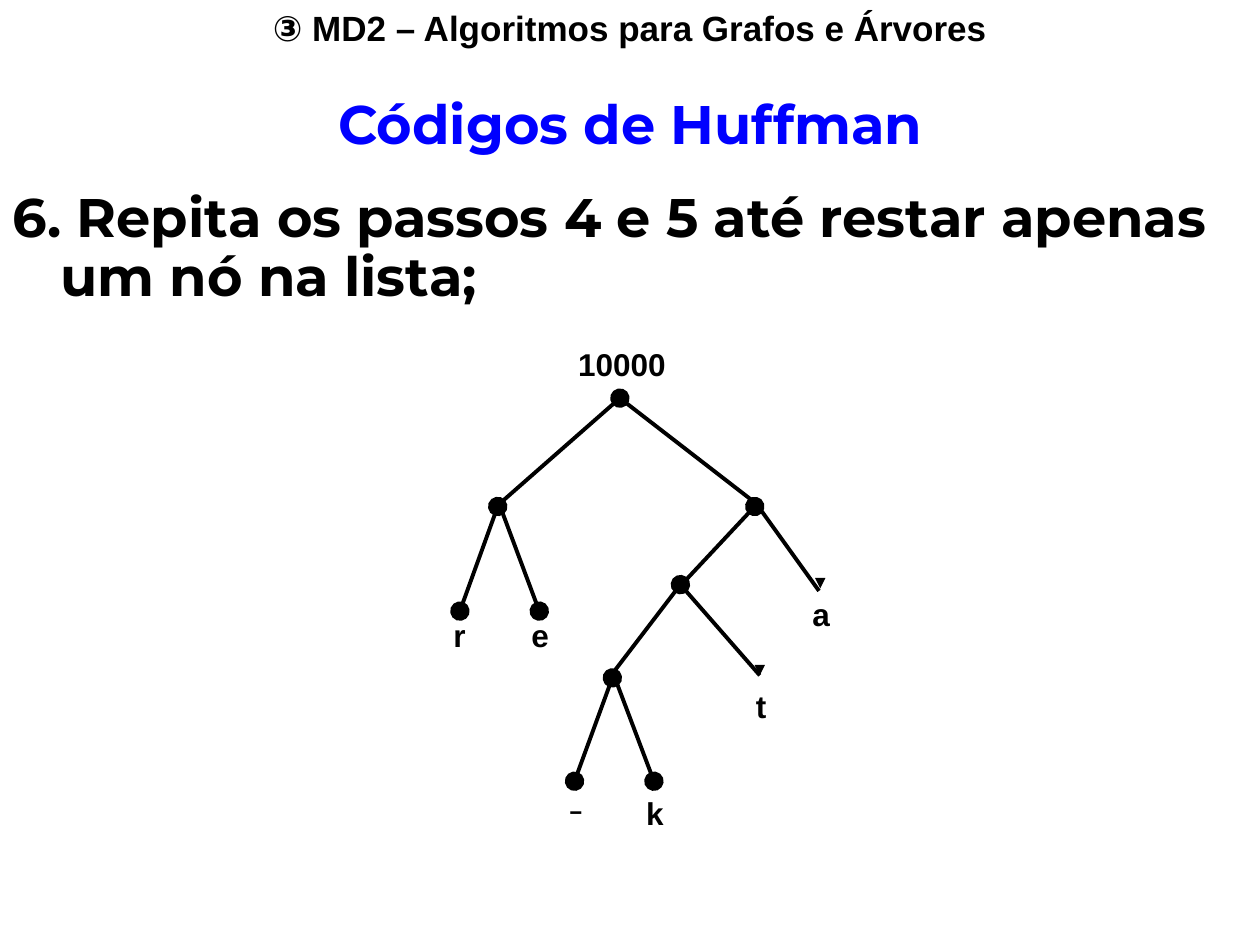
from lxml.etree import SubElement
from pptx import Presentation
from pptx.dml.color import RGBColor
from pptx.enum.shapes import MSO_CONNECTOR
from pptx.enum.text import MSO_AUTO_SIZE, PP_ALIGN
from pptx.oxml.ns import qn
from pptx.util import Inches, Pt

BLACK = RGBColor(0x00, 0x00, 0x00)
BLUE = RGBColor(0x00, 0x00, 0xFF)
END_SIZES = {"oval": "lg", "triangle": "med"}

EDGES = [
    ((3.95, 4.02), (3.65, 4.85), "oval", "oval"),
    ((3.97, 4.02), (4.28, 4.85), None, "oval"),
    ((4.86, 5.38), (4.56, 6.2), "oval", "oval"),
    ((4.88, 5.38), (5.19, 6.2), None, "oval"),
    ((4.85, 5.36), (5.4, 4.64), None, "oval"),
    ((5.4, 4.64), (6.03, 5.36), None, None),
    ((5.4, 4.65), (5.99, 4.02), None, "oval"),
    ((5.99, 3.98), (6.5, 4.69), None, None),
    ((3.94, 4.02), (4.92, 3.16), None, "oval"),
    ((4.92, 3.16), (5.98, 3.98), None, None),
]
LEAF_ARROWS = [((6.51, 4.63), (6.51, 4.67)), ((6.03, 5.33), (6.03, 5.36))]
NODE_LABELS = [
    ("10000", 4.49, 2.69, 0.95),
    ("r", 3.5, 4.84, 0.37),
    ("e", 4.12, 4.84, 0.37),
    ("a", 6.35, 4.67, 0.37),
    ("t", 5.9, 5.4, 0.37),
    ("k", 5.03, 6.25, 0.37),
]


def style(p, text, size, font="Arial", color=BLACK, bold=True):
    p.text = text
    p.font.size = Pt(size)
    p.font.name = font
    p.font.bold = bold
    p.font.color.rgb = color


def add_text_frame(s, left, top, width, height):
    box = s.shapes.add_textbox(Inches(left), Inches(top), Inches(width), Inches(height))
    tf = box.text_frame
    tf.word_wrap = True
    tf.auto_size = MSO_AUTO_SIZE.SHAPE_TO_FIT_TEXT
    return tf


def add_header(s):
    p = add_text_frame(s, 0, 0, 10, 0.44).paragraphs[0]
    style(p, "③ MD2 – Algoritmos para Grafos e Árvores", 20)
    p.alignment = PP_ALIGN.CENTER


def add_body(s):
    tf = add_text_frame(s, 0, 0.73, 10, 1.77)
    title, step = tf.paragraphs[0], tf.add_paragraph()
    style(title, "Códigos de Huffman", 31, "Montserrat", BLUE)
    style(step, "6. Repita os passos 4 e 5 até restar apenas um nó na lista;", 31, "Montserrat")
    title.alignment = PP_ALIGN.CENTER
    step.space_before = Pt(19.4)
    for p in tf.paragraphs:
        p.line_spacing = 0.9
        pPr = p._p.get_or_add_pPr()
        pPr.set("marL", str(Inches(0.38)))
        pPr.set("indent", str(Inches(-0.38)))


def add_line(s, start, end, head=None, tail=None, width=2.25):
    line = s.shapes.add_connector(
        MSO_CONNECTOR.STRAIGHT, *(Inches(v) for v in (*start, *end)))
    line.line.color.rgb = BLACK
    line.line.width = Pt(width)
    ln = line.line._get_or_add_ln()
    for tag, kind in (("a:headEnd", head), ("a:tailEnd", tail)):
        if kind:
            size = END_SIZES[kind]
            SubElement(ln, qn(tag), type=kind, w=size, len=size)
    SubElement(line._element.spPr, qn("a:effectLst"))


def add_tree(s):
    for start, end, head, tail in EDGES:
        add_line(s, start, end, head, tail)
    for start, end in LEAF_ARROWS:
        add_line(s, start, end, tail="triangle", width=0.75)
    for text, left, top, width in NODE_LABELS:
        tf = add_text_frame(s, left, top, width, 0.4)
        style(tf.paragraphs[0], text, 18)
    dash = add_text_frame(s, 4.41, 6.16, 0.37, 0.5).paragraphs[0]
    style(dash, "-", 24, "Montserrat", bold=False)


def main():
    prs = Presentation()
    prs.slide_width, prs.slide_height = Inches(10), Inches(7.5)
    s = prs.slides.add_slide(prs.slide_layouts[6])
    add_header(s)
    add_body(s)
    add_tree(s)
    prs.save("out.pptx")


if __name__ == "__main__":
    main()
